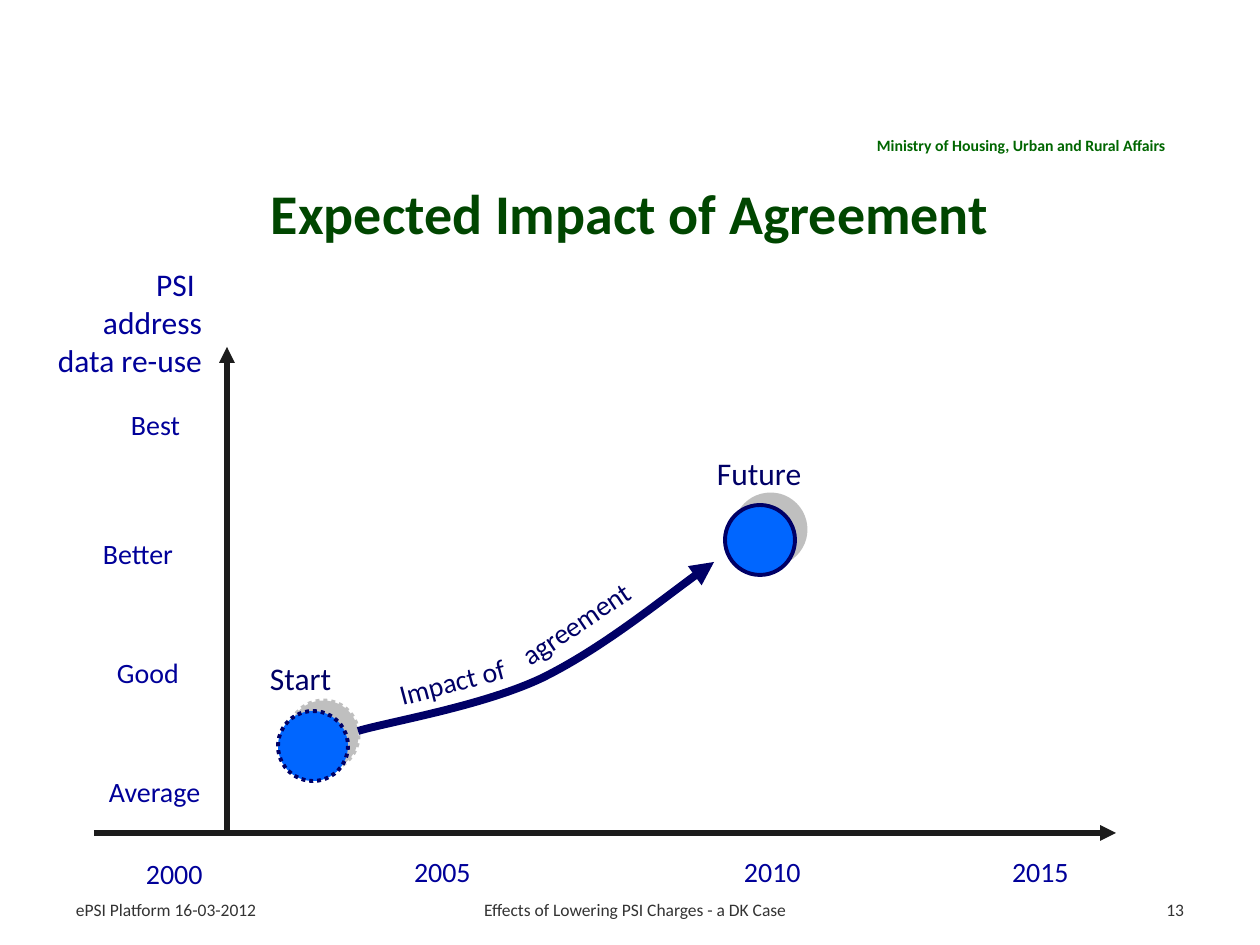
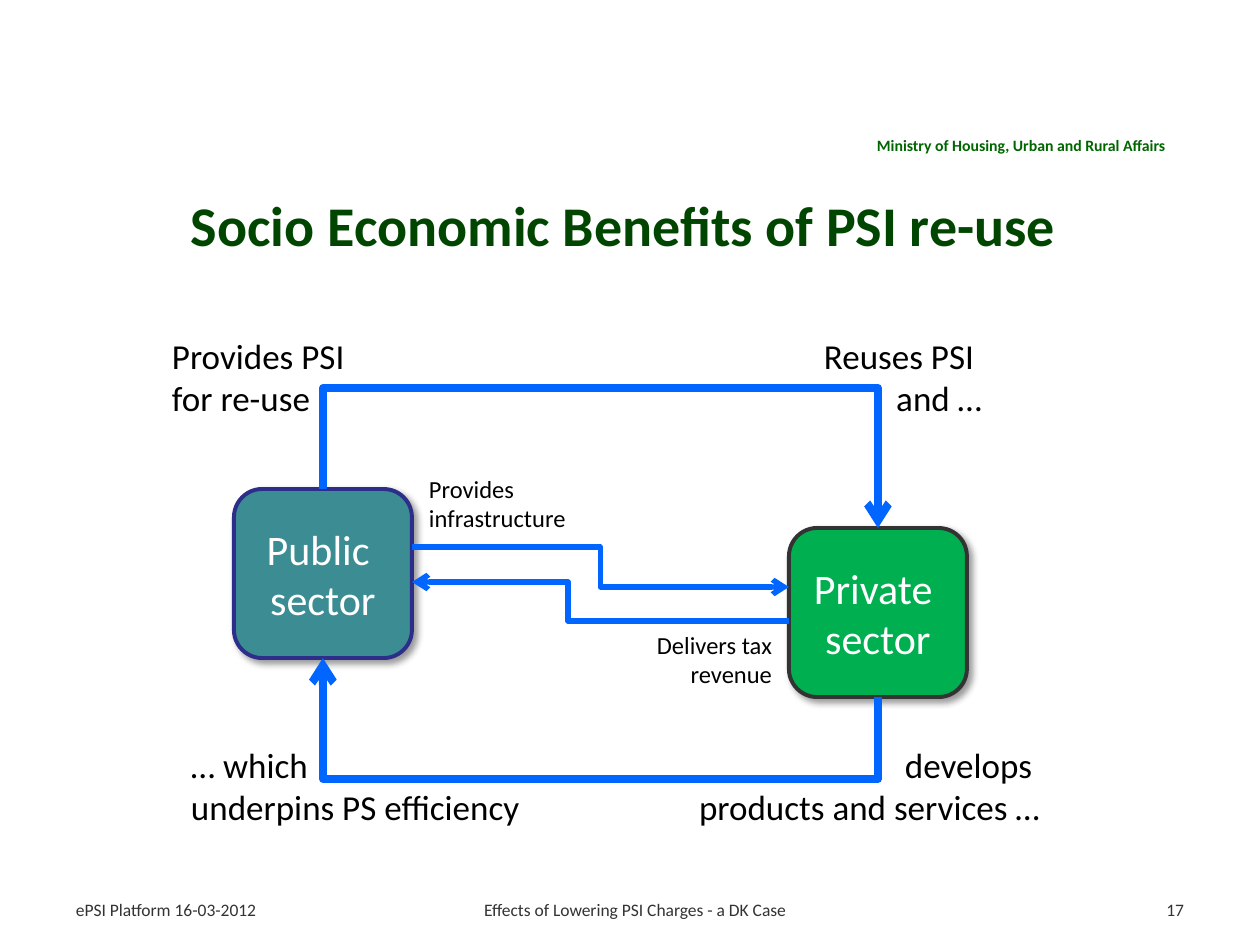
from lxml import etree
from pptx import Presentation
from pptx.dml.color import RGBColor
from pptx.enum.dml import MSO_LINE
from pptx.enum.shapes import MSO_CONNECTOR, MSO_SHAPE
from pptx.enum.text import MSO_ANCHOR, MSO_AUTO_SIZE, PP_ALIGN
from pptx.oxml.ns import qn
from pptx.util import Emu, Pt

PX = 914400 / 126
FONT = "Calibri"
COLORS = {
    "ministry": "006600", "title": "004600", "footer": "333333",
    "axis": "1C1C1C", "label": "000099", "navy": "000066", "blue": "0066FF",
    "teal": "3C8C93", "indigo": "2D2D8A", "green": "00B050",
    "dark": "333333", "black": "000000", "white": "FFFFFF", "gray": "808080",
}
LEFT, CENTER, RIGHT = PP_ALIGN.LEFT, PP_ALIGN.CENTER, PP_ALIGN.RIGHT
TOP, MIDDLE = MSO_ANCHOR.TOP, MSO_ANCHOR.MIDDLE
STRAIGHT, ELBOW = MSO_CONNECTOR.STRAIGHT, MSO_CONNECTOR.ELBOW
OVAL, ROUNDED = MSO_SHAPE.OVAL, MSO_SHAPE.ROUNDED_RECTANGLE
DOTTED = MSO_LINE.ROUND_DOT
SITE_TOP, SITE_BOTTOM = 0, 2


def px(*values):
    return [Emu(round(v * PX)) for v in values]


def rgb(name):
    return RGBColor.from_string(COLORS[name])


# Text
def write(tf, text, size, color, align=LEFT, bold=False, anchor=TOP,
          wrap=False, insets=(13, 6)):
    tf.word_wrap = wrap
    tf.vertical_anchor = anchor
    tf.margin_left = tf.margin_right = px(insets[0])[0]
    tf.margin_top = tf.margin_bottom = px(insets[1])[0]
    tf.text = text
    for p in tf.paragraphs:
        p.alignment = align
        p.font.name = FONT
        p.font.size = Pt(size)
        p.font.bold = bold
        p.font.color.rgb = rgb(color)


def add_text(slide, box, text, size, color, rotation=0, **style):
    sp = slide.shapes.add_textbox(*px(*box))
    write(sp.text_frame, text, size, color, **style)
    if not style.get("wrap"):
        sp.text_frame.auto_size = MSO_AUTO_SIZE.SHAPE_TO_FIT_TEXT
    sp.rotation = rotation
    return sp


# Lines, arrowheads and shadows
def style_line(sp, color, width, head=None, tail=None):
    sp.line.color.rgb = rgb(color)
    sp.line.width = Pt(width)
    ln = sp.line._get_or_add_ln()
    for tag, kind in (("a:headEnd", head), ("a:tailEnd", tail)):
        if kind:
            etree.SubElement(ln, qn(tag), type=kind)


def add_connector(slide, kind, start, end, color, width, **ends):
    cxn = slide.shapes.add_connector(kind, *px(*start, *end))
    style_line(cxn, color, width, **ends)
    etree.SubElement(cxn._element.spPr, qn("a:effectLst"))
    return cxn


def bend(cxn, rotation, ratio, flip=False):
    """Turn an elbow and place its middle segment at ratio of its run."""
    xfrm = cxn._element.spPr.find(qn("a:xfrm"))
    for name in ("flipH", "flipV"):
        xfrm.attrib.pop(name, None)
    xfrm.set("rot", str(rotation * 60000))
    if flip:
        xfrm.set("flipH", "1")
    guides = cxn._element.spPr.find(qn("a:prstGeom")).find(qn("a:avLst"))
    etree.SubElement(guides, qn("a:gd"), name="adj1",
                     fmla=f"val {round(ratio * 100000)}")


def add_side_elbow(slide, start, end, mid_x, **ends):
    cxn = add_connector(slide, ELBOW, start, end, "blue", 3, **ends)
    bend(cxn, 180, (mid_x - start[0]) / (end[0] - start[0]))


def add_loop_elbow(slide, source, target, site, mid_y):
    """Join the same side of two boxes by way of the height mid_y."""
    cxn = add_connector(slide, ELBOW, (0, 0), (1, 1), "blue", 4.5, tail="arrow")
    cxn.begin_connect(source, site)
    cxn.end_connect(target, site)
    y1, y2 = cxn.begin_y, cxn.end_y
    left, top, w, h = cxn.left, cxn.top, cxn.width, cxn.height
    cxn.left, cxn.top = left + (w - h) // 2, top + (h - w) // 2
    cxn.width, cxn.height = h, w
    bend(cxn, 270 if y2 > y1 else 90, (px(mid_y)[0] - y1) / (y2 - y1), True)


def add_shadow(sp, color, alpha, blur, dist, angle):
    sp.shadow.inherit = False
    effects = sp._element.spPr.find(qn("a:effectLst"))
    shadow = etree.SubElement(
        effects, qn("a:outerShdw"), blurRad=str(Pt(blur)), dist=str(Pt(dist)),
        dir=str(angle * 60000), algn="ctr", rotWithShape="0")
    clr = etree.SubElement(shadow, qn("a:srgbClr"), val=COLORS[color])
    etree.SubElement(clr, qn("a:alpha"), val=str(alpha * 1000))


# Shapes
def add_shape(slide, kind, box, fill, line):
    sp = slide.shapes.add_shape(kind, *px(*box))
    sp.fill.solid()
    sp.fill.fore_color.rgb = rgb(fill)
    style_line(sp, line, 2.25)
    return sp


def add_milestone(slide, left, top, dash=None):
    sp = add_shape(slide, OVAL, (left, top, 70, 70), "blue", "navy")
    if dash:
        sp.line.dash_style = dash
    add_shadow(sp, "gray", 50, 0, 8.5, 315)


def add_sector(slide, left, top, text, fill, line):
    sp = add_shape(slide, ROUNDED, (left, top, 178, 169), fill, line)
    add_shadow(sp, "black", 40, 4, 3, 45)
    write(sp.text_frame, text, 24, "white", align=CENTER, anchor=MIDDLE,
          insets=(8, 10))
    return sp


def add_curve_arrow(slide, start, controls):
    """Draw Bezier curves, three control points each, with an arrowhead."""
    builder = slide.shapes.build_freeform(*px(*start))
    builder.add_line_segments([px(*pt) for pt in controls], close=False)
    sp = builder.convert_to_shape()
    lines = list(sp._element.iter(qn("a:lnTo")))
    for i in range(0, len(lines), 3):
        curve = lines[i].makeelement(qn("a:cubicBezTo"))
        lines[i].addprevious(curve)
        for line in lines[i:i + 3]:
            curve.append(line[0])
            line.getparent().remove(line)
    sp.fill.background()
    sp.shadow.inherit = False
    style_line(sp, "navy", 4.5, tail="triangle")


# Frame shared by the slides
def add_framed_slide(prs, title, title_top, title_height, number):
    slide = prs.slides.add_slide(prs.slide_layouts[6])
    add_text(slide, (864, 130, 343, 32),
             "Ministry of Housing, Urban and Rural Affairs", 9, "ministry",
             bold=True, wrap=True)
    add_text(slide, (63, title_top, 1134, title_height), title, 32, "title",
             align=CENTER, bold=True, anchor=MIDDLE, wrap=True)
    for left, width, text, align in (
            (63, 265, "ePSI Platform 16-03-2012", LEFT),
            (338, 594, "Effects of Lowering PSI Charges - a DK Case", CENTER),
            (1037, 160, number, RIGHT)):
        add_text(slide, (left, 899, width, 20), text, 10, "footer",
                 align=align, wrap=True, insets=(13, 0))
    return slide


def build_impact(prs):
    slide = add_framed_slide(prs, "Expected Impact of Agreement", 160, 105, "13")

    # Axes and their labels
    for start, end in (((94, 833), (1116, 833)), ((227, 833), (227, 347))):
        add_connector(slide, STRAIGHT, start, end, "axis", 3, tail="triangle")
    for left, top, width, text in (
            (133, 851, 85, "2000"), (401, 848, 85, "2005"),
            (731, 848, 85, "2010"), (999, 848, 85, "2015"),
            (118, 402, 76, "Best"), (90, 531, 97, "Better"),
            (104, 650, 90, "Good"), (96, 769, 118, "Average")):
        add_text(slide, (left, top, width, 47), text, 16, "label")
    add_text(slide, (44, 259, 171, 126), "PSI \vaddress\vdata re-use", 18,
             "label", align=RIGHT)

    # Path from start to future
    add_milestone(slide, 278, 711, DOTTED)
    add_text(slide, (257, 653, 90, 50), "Start", 18, "navy")
    add_curve_arrow(slide, (358, 731), [
        (388, 722), (483, 706), (542, 678), (601, 649), (679, 586), (714, 562)])
    add_milestone(slide, 725, 505)
    add_text(slide, (704, 448, 111, 50), "Future", 18, "navy")
    add_text(slide, (385, 658, 138, 47), "Impact of", 16, "navy", 345.1)
    add_text(slide, (501, 600, 150, 47), "agreement", 16, "navy", 326)


def build_benefits(prs):
    slide = add_framed_slide(prs, "Socio Economic Benefits of PSI re-use ",
                             185, 79, "17")

    # Sectors
    public = add_sector(slide, 234, 489, "Public \nsector", "teal", "indigo")
    private = add_sector(slide, 789, 528, "Private \nsector", "green", "dark")

    # Flows between the sectors
    add_loop_elbow(slide, public, private, SITE_TOP, 388)
    add_loop_elbow(slide, private, public, SITE_BOTTOM, 779)
    add_side_elbow(slide, (789, 587), (412, 547), 600, head="arrow")
    add_side_elbow(slide, (789, 621), (412, 582), 568, tail="arrow")

    # Flow captions
    for box, text, size, align in (
            ((159, 328, 209, 97), "Provides PSI \vfor re-use", 20, LEFT),
            ((810, 328, 185, 97), "Reuses PSI \vand …", 20, RIGHT),
            ((178, 737, 359, 97), "… which \vunderpins PS efficiency", 20, LEFT),
            ((681, 737, 372, 97), "develops \vproducts and services …", 20, RIGHT),
            ((416, 468, 165, 72), "Provides \vinfrastructure", 14, LEFT),
            ((643, 624, 142, 72), "Delivers tax\vrevenue", 14, RIGHT)):
        add_text(slide, box, text, size, "black", align=align)


def main():
    prs = Presentation()
    prs.slide_width, prs.slide_height = px(1260, 945)
    build_impact(prs)
    build_benefits(prs)
    prs.save("out.pptx")


if __name__ == "__main__":
    main()
